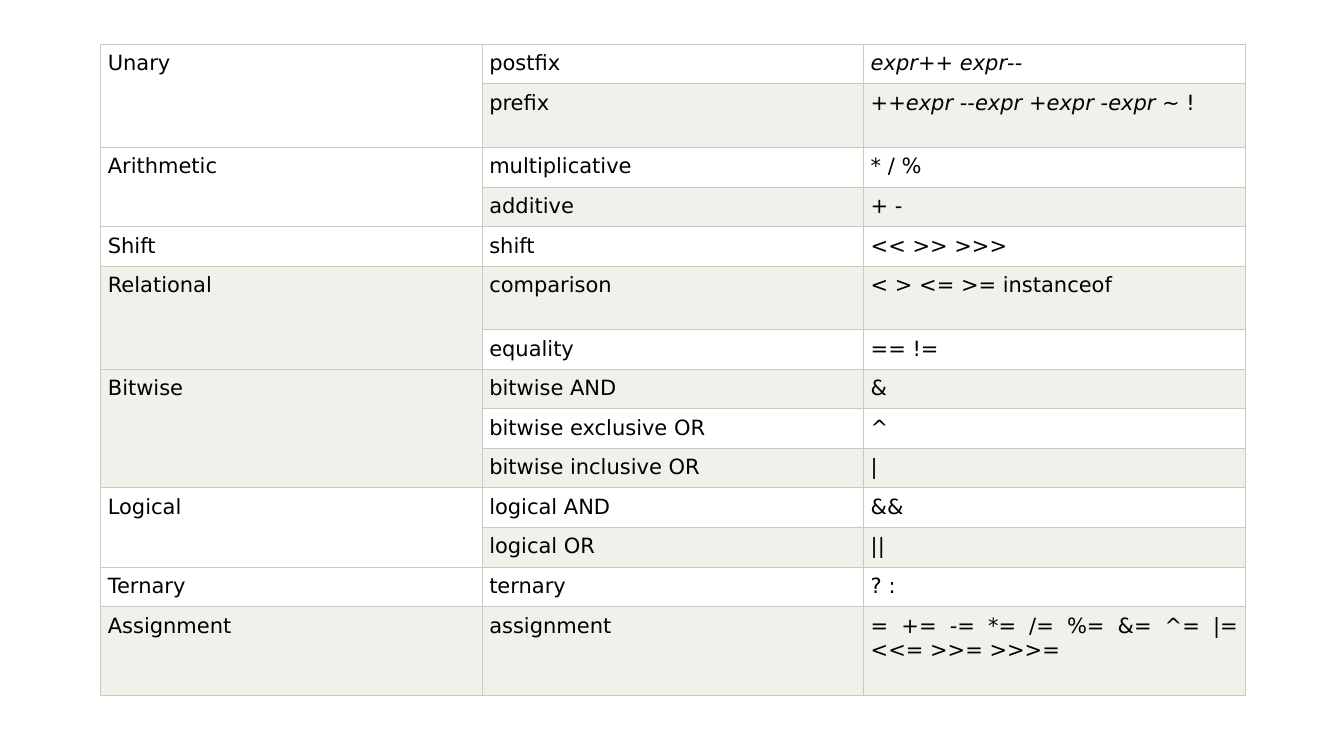
from lxml.etree import SubElement
from pptx import Presentation
from pptx.dml.color import RGBColor
from pptx.enum.text import PP_ALIGN
from pptx.oxml.ns import qn
from pptx.util import Inches, Pt

BLACK = RGBColor(0x00, 0x00, 0x00)
WHITE = RGBColor(0xFF, 0xFF, 0xFF)
BAND = RGBColor(0xEF, 0xF1, 0xEB)
BORDER = RGBColor(0xC7, 0xCC, 0xBE)
FONT = "DejaVu Sans"
OPERAND = "expr"  # set in italics wherever it occurs

TABLE_WIDTH, TABLE_HEIGHT = 11.35, 6.46
TALL_ROWS = {1: 0.63, 5: 0.63, 13: 0.88}
MARGIN = Inches(0.07)

OPERATOR_GROUPS = [
    ("Unary", [("postfix", "expr++ expr--"),
               ("prefix", "++expr --expr +expr -expr ~ !")]),
    ("Arithmetic", [("multiplicative", "* / %"), ("additive", "+ -")]),
    ("Shift", [("shift", "<< >> >>>")]),
    ("Relational", [("comparison", "< > <= >= instanceof"),
                    ("equality", "== !=")]),
    ("Bitwise", [("bitwise AND", "&"), ("bitwise exclusive OR", "^"),
                 ("bitwise inclusive OR", "|")]),
    ("Logical", [("logical AND", "&&"), ("logical OR", "||")]),
    ("Ternary", [("ternary", "? :")]),
    ("Assignment", [("assignment", "= += -= *= /= %= &= ^= |= <<= >>= >>>=")]),
]


def add_run(paragraph, text, italic=False):
    run = paragraph.add_run()
    run.text = text
    run.font.name = FONT
    run.font.size = Pt(15)
    run.font.italic = italic
    run.font.color.rgb = BLACK


def fill_cell(cell, text, color):
    """Set the cell's borders, fill and justified text."""
    properties = cell._tc.get_or_add_tcPr()
    for side in ("a:lnL", "a:lnR", "a:lnT", "a:lnB"):
        line = SubElement(properties, qn(side), w=str(Pt(0.75)))
        line_fill = SubElement(line, qn("a:solidFill"))
        SubElement(line_fill, qn("a:srgbClr"), val=str(BORDER))
    cell.fill.solid()
    cell.fill.fore_color.rgb = color
    cell.margin_left = cell.margin_right = MARGIN
    cell.margin_top = cell.margin_bottom = MARGIN
    paragraph = cell.text_frame.paragraphs[0]
    paragraph.alignment = PP_ALIGN.JUSTIFY
    paragraph.font.size = Pt(15)
    for index, piece in enumerate(text.split(OPERAND)):
        if index:
            add_run(paragraph, OPERAND, italic=True)
        if piece:
            add_run(paragraph, piece)


presentation = Presentation()
presentation.slide_width = Inches(13.33)
presentation.slide_height = Inches(7.5)
slide = presentation.slides.add_slide(presentation.slide_layouts[6])

row_count = sum(len(operators) for _, operators in OPERATOR_GROUPS)
table = slide.shapes.add_table(
    row_count, 3, Inches(1), Inches(0.44), Inches(TABLE_WIDTH), Inches(TABLE_HEIGHT)
).table
table.first_row = False
table.horz_banding = False

for column in table.columns:
    column.width = Inches(TABLE_WIDTH / 3)
plain_height = (TABLE_HEIGHT - sum(TALL_ROWS.values())) / (row_count - len(TALL_ROWS))
for index, row in enumerate(table.rows):
    row.height = Inches(TALL_ROWS.get(index, plain_height))

first_row = 0
for group, operators in OPERATOR_GROUPS:
    group_color = BAND if first_row % 2 else WHITE
    for offset, (operator, symbols) in enumerate(operators):
        row = first_row + offset
        color = BAND if row % 2 else WHITE
        fill_cell(table.cell(row, 0), "" if offset else group, group_color)
        fill_cell(table.cell(row, 1), operator, color)
        fill_cell(table.cell(row, 2), symbols, color)
    last_row = first_row + len(operators) - 1
    if last_row > first_row:
        table.cell(first_row, 0).merge(table.cell(last_row, 0))
    first_row = last_row + 1

presentation.save("out.pptx")
